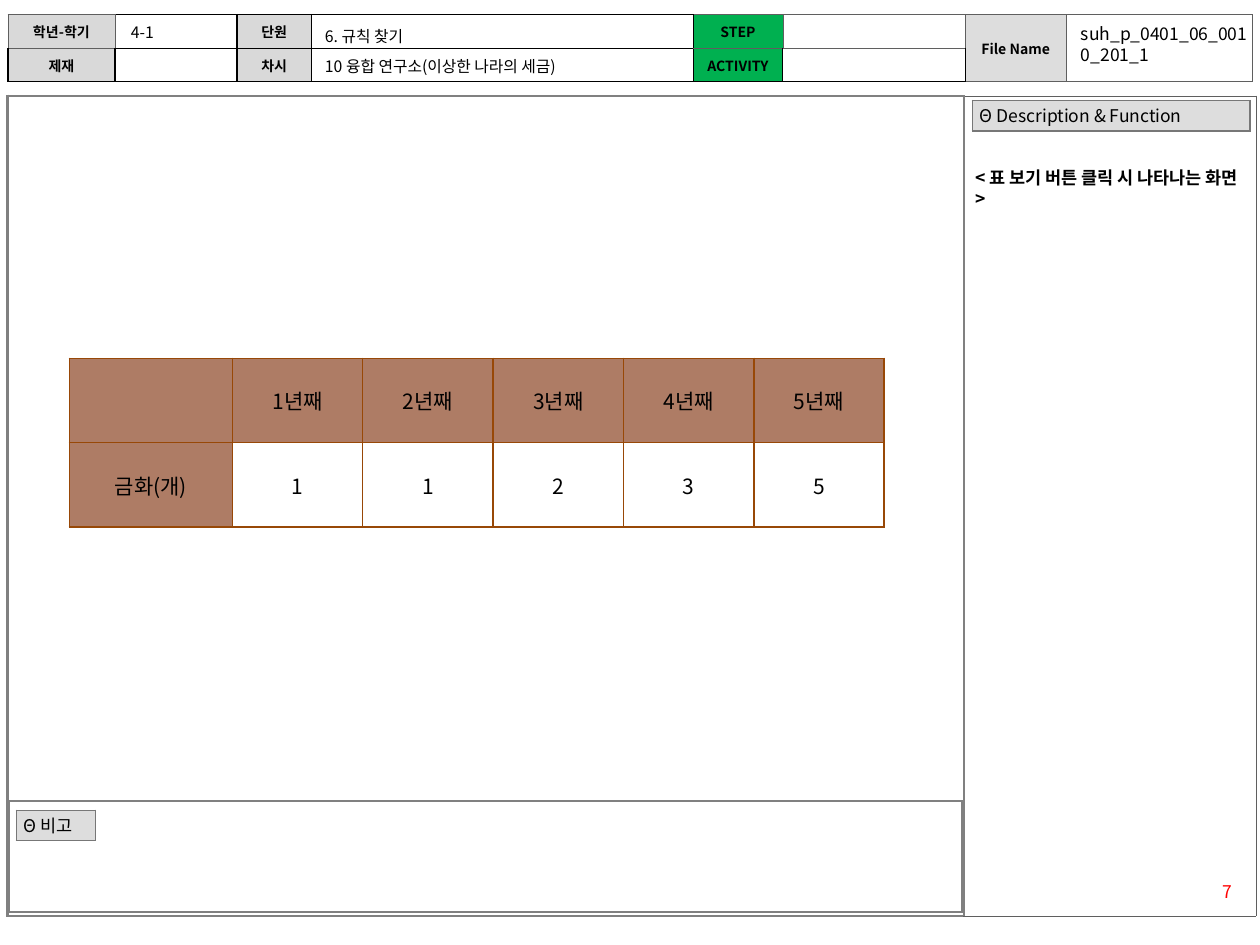
from lxml.etree import SubElement
from pptx import Presentation
from pptx.dml.color import RGBColor
from pptx.enum.text import MSO_ANCHOR, PP_ALIGN
from pptx.oxml.ns import qn
from pptx.util import Pt

FONT = "Noto Sans CJK KR"
BLACK = RGBColor(0x00, 0x00, 0x00)
RED = RGBColor(0xFF, 0x00, 0x00)
WHITE = RGBColor(0xFF, 0xFF, 0xFF)
GREEN = RGBColor(0x00, 0xB0, 0x50)
LABEL_GRAY = RGBColor(0xD9, 0xD9, 0xD9)
TITLE_GRAY = RGBColor(0xDD, 0xDD, 0xDD)
FRAME_GRAY = RGBColor(0x80, 0x80, 0x80)
TITLE_EDGE = RGBColor(0x77, 0x77, 0x77)
THIN_GRAY = RGBColor(0x5F, 0x5F, 0x5F)
BROWN = RGBColor(0x98, 0x48, 0x07)
CLAY = RGBColor(0xAE, 0x7C, 0x65)

THIN = (THIN_GRAY, 0.25)
FRAME = (FRAME_GRAY, 1.5)
TITLE = (TITLE_EDGE, 1)
GRID = (BLACK, 1)

# Header cells: text, fill, sides drawn with the thin line
HEADER = [
    [("학년-학기", LABEL_GRAY, "LRTB"), ("", None, "L"), ("단원", LABEL_GRAY, ""),
     ("", None, ""), ("STEP", GREEN, "RTB"), ("", None, "LRTB"),
     ("File Name", TITLE_GRAY, "LRTB"), ("", None, "LRTB")],
    [("제재", LABEL_GRAY, "T"), ("", None, ""), ("차시", LABEL_GRAY, ""),
     ("", None, ""), ("ACTIVITY", GREEN, "T"), ("", None, "T"),
     ("", TITLE_GRAY, "LRTB"), ("", None, "LRTB")],
]
HEADER_COLUMNS = [61.2, 69.84, 42.48, 218.16, 51.12, 104.4, 57.6, 106.56]
MERGED_COLUMNS = (6, 7)

COINS = [["", "1년째", "2년째", "3년째", "4년째", "5년째"],
         ["금화(개)", "1", "1", "2", "3", "5"]]

# Section titles: text, left, top, width, height
TITLES = [("Θ 비고", 9.36, 463, 45.36, 14.4),
          ("Θ Description & Function", 555.7, 57.5, 158.6, 15.1)]

# Text boxes: text, left, top, width, height, size, bold, colour, alignment, top inset
TEXTS = [
    ("7", 663.1, 499.7, 48.2, 19.4, 10, False, RED, PP_ALIGN.RIGHT, 3.6),
    ("suh_p_0401_06_0010_201_1", 610.6, 9.4, 109.4, 31.7, 10, False, BLACK,
     PP_ALIGN.JUSTIFY, 3.6),
    ("4-1", 67.7, 9.4, 67.7, 17.3, 9, False, BLACK, PP_ALIGN.LEFT, 3.6),
    ("6. 규칙 찾기", 178.6, 11.5, 218.2, 11.5, 9, False, BLACK, PP_ALIGN.LEFT, 3.6),
    ("10 융합 연구소(이상한 나라의 세금)", 178.6, 28.8, 215.3, 17.3, 9, False, BLACK,
     PP_ALIGN.LEFT, 3.6),
    ("< 표 보기 버튼 클릭 시 나타나는 화면>", 550.1, 77, 169.9, 77, 10, True, BLACK,
     PP_ALIGN.LEFT, 18.6),
]


def write(frame, text, size, bold=False, color=BLACK, align=PP_ALIGN.LEFT):
    """Put one styled paragraph into a text frame and return it."""
    para = frame.paragraphs[0]
    para.alignment = align
    font = para.font
    font.size, font.bold, font.name = Pt(size), bold, FONT
    font.color.rgb = color
    SubElement(para._p.pPr.find(qn("a:defRPr")), qn("a:ea"), typeface=FONT)
    if text:
        para.add_run().text = text
    else:
        SubElement(para._p, qn("a:endParaRPr"), sz=str(size * 100))
    return para


def add_grid(page, left, top, columns, rows):
    """Add a plain table with the given column widths and row heights."""
    table = page.shapes.add_table(len(rows), len(columns), Pt(left), Pt(top),
                                  Pt(sum(columns)), Pt(sum(rows))).table
    table.first_row = table.horz_banding = False
    for column, width in zip(table.columns, columns):
        column.width = Pt(width)
    for row, height in zip(table.rows, rows):
        row.height = Pt(height)
    return table


def style_cell(cell, line, fill=None, inset=(7.2, 3.6), special="", special_line=THIN):
    """Set a cell's borders, fill, insets and middle anchor."""
    properties = cell._tc.get_or_add_tcPr()
    for side in "LRTB":
        color, width = special_line if side in special else line
        border = SubElement(properties, qn("a:ln" + side), w=str(Pt(width)))
        solid = SubElement(border, qn("a:solidFill"))
        SubElement(solid, qn("a:srgbClr"), val=str(color))
    if fill is None:
        cell.fill.background()
    else:
        cell.fill.solid()
        cell.fill.fore_color.rgb = fill
    cell.margin_left = cell.margin_right = Pt(inset[0])
    cell.margin_top = cell.margin_bottom = Pt(inset[1])
    cell.vertical_anchor = MSO_ANCHOR.MIDDLE


def add_frames(page):
    """Add the main frame, the side panel and the remarks frame."""
    main = add_grid(page, 4.32, 54.7, [546.5, 167], [468.7])
    style_cell(main.cell(0, 0), FRAME)
    style_cell(main.cell(0, 1), THIN, special="L", special_line=FRAME)
    remarks = add_grid(page, 5.04, 457.9, [545], [63.4])
    style_cell(remarks.cell(0, 0), FRAME)


def add_header(page):
    """Add the lesson information table along the top."""
    table = add_grid(page, 4.5, 8.3, HEADER_COLUMNS, [19.4, 18])
    for r, row in enumerate(HEADER):
        for c, (text, fill, thin_sides) in enumerate(row):
            cell = table.cell(r, c)
            style_cell(cell, GRID, fill, special=thin_sides)
            write(cell.text_frame, text, 8, True, align=PP_ALIGN.CENTER)
    for c in MERGED_COLUMNS:
        table.cell(0, c).merge(table.cell(1, c))


def add_title(page, text, left, top, width, height):
    """Add a shaded one-cell section title."""
    cell = add_grid(page, left, top, [width], [height]).cell(0, 0)
    style_cell(cell, TITLE, TITLE_GRAY, inset=(4.3, 2.15))
    write(cell.text_frame, text, 10).line_spacing = 0.9


def add_text(page, text, left, top, width, height, size, bold, color, align, inset):
    """Add a wrapping text box."""
    box = page.shapes.add_textbox(Pt(left), Pt(top), Pt(width), Pt(height))
    box.text_frame.word_wrap = True
    box.text_frame.margin_top = Pt(inset)
    write(box.text_frame, text, size, bold, color, align)


def add_coins(page):
    """Add the table of gold coins per year."""
    table = add_grid(page, 39.6, 204.8, [93.2] + [74.5] * 5, [48.2] * 2)
    for r, row in enumerate(COINS):
        for c, text in enumerate(row):
            cell = table.cell(r, c)
            style_cell(cell, (BROWN, 1), CLAY if r == 0 or c == 0 else WHITE)
            write(cell.text_frame, text, 12, align=PP_ALIGN.CENTER)


deck = Presentation()
deck.slide_width, deck.slide_height = Pt(720), Pt(540)
page = deck.slides.add_slide(deck.slide_layouts[6])
add_frames(page)
add_header(page)
for title in TITLES:
    add_title(page, *title)
for text in TEXTS:
    add_text(page, *text)
add_coins(page)
deck.save("out.pptx")
